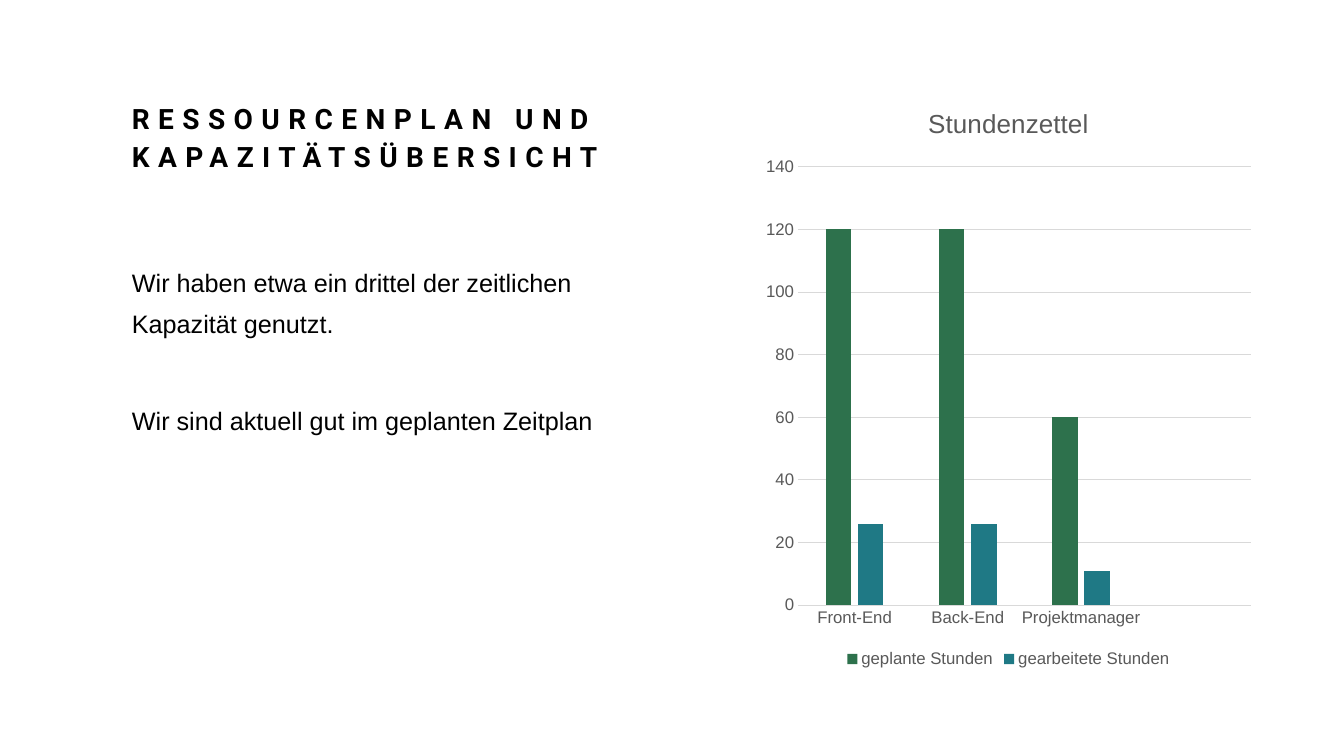
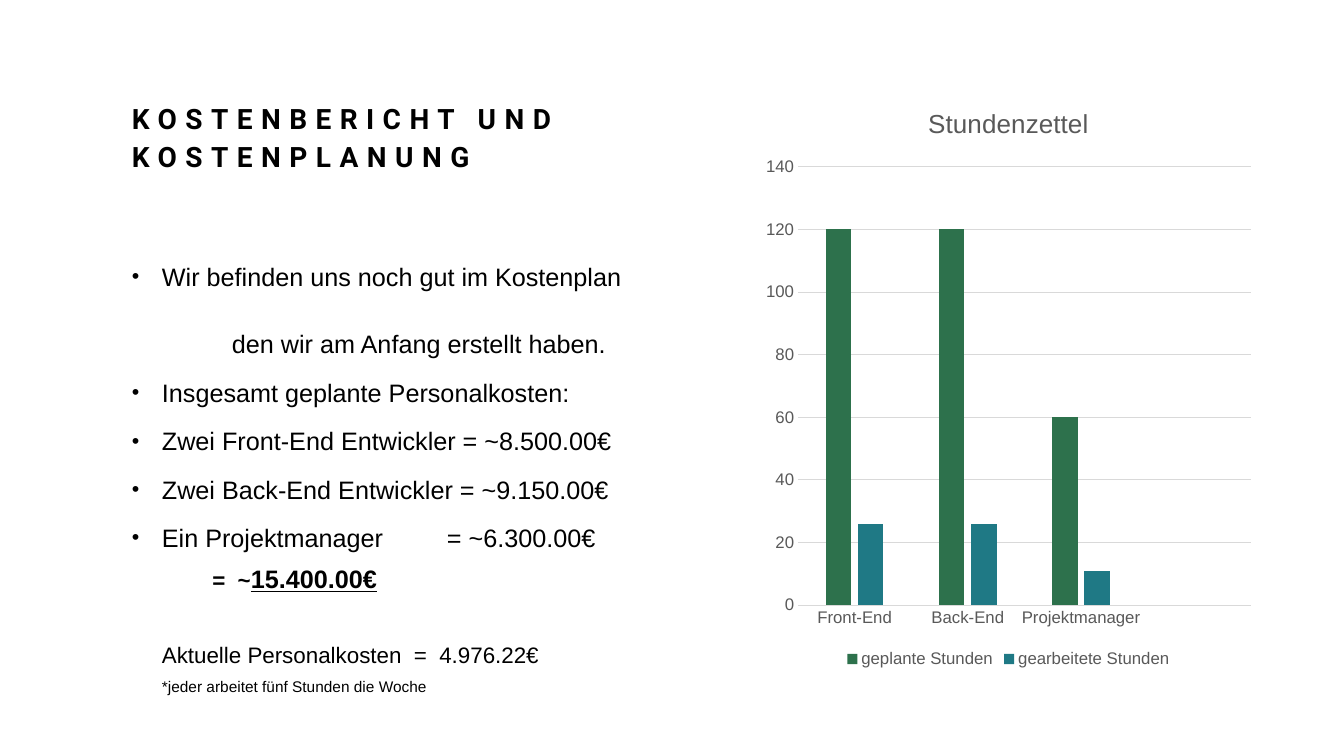
from dataclasses import dataclass

from lxml import etree
from pptx import Presentation
from pptx.chart.data import CategoryChartData
from pptx.dml.color import RGBColor
from pptx.enum.chart import XL_CHART_TYPE, XL_LEGEND_POSITION, XL_TICK_MARK
from pptx.enum.text import MSO_ANCHOR
from pptx.oxml.ns import qn
from pptx.util import Emu, Pt

COLUMNS = XL_CHART_TYPE.COLUMN_CLUSTERED
LEGEND_BOTTOM = XL_LEGEND_POSITION.BOTTOM
NO_TICK = XL_TICK_MARK.NONE
ANCHOR_TOP, ANCHOR_BOTTOM = MSO_ANCHOR.TOP, MSO_ANCHOR.BOTTOM

# Shared look
EMU_PER_PX = 914400 / 100.8
BLACK, GREY, GRID = "000000", "595959", "D9D9D9"
GREEN, TEAL = "2D714C", "1F7985"
TITLE_FONT, BODY_FONT = "Roboto", "Arial"
BULLET_INDENT = 30
AMOUNT_TAB = 315


@dataclass(frozen=True)
class Box:
    left: int
    top: int
    width: int
    height: int


@dataclass(frozen=True)
class Span:
    text: str
    size: float = 18
    bold: bool = False
    underline: bool = False
    font: str = BODY_FONT
    tracking: int = 0


@dataclass(frozen=True)
class Line:
    spans: tuple[Span, ...]
    spacing: float
    before: float = 0
    left: int = 0
    bullet: bool = False


@dataclass(frozen=True)
class HoursSeries:
    name: str
    hours: tuple[int | None, ...]
    color: str


@dataclass(frozen=True)
class ReportPage:
    title: str
    lines: tuple[Line, ...]


TITLE_BOX = Box(122, 84, 550, 126)
BODY_BOX = Box(122, 252, 550, 420)
CHART_BOX = Box(756, 84, 505, 588)


def px(length: float) -> Emu:
    return Emu(round(length * EMU_PER_PX))


def rgb(color: str) -> RGBColor:
    return RGBColor.from_string(color)


def place(box: Box) -> tuple[Emu, Emu, Emu, Emu]:
    return px(box.left), px(box.top), px(box.width), px(box.height)


def style_font(font, size: float, color: str, name: str = BODY_FONT) -> None:
    font.size, font.name = Pt(size), name
    font.color.rgb = rgb(color)


# Text
def indent_paragraph(paragraph, line: Line) -> None:
    properties = paragraph._p.get_or_add_pPr()
    properties.set("marL", str(px(line.left)))
    properties.set("indent", str(px(-line.left if line.bullet else 0)))
    if line.bullet:
        etree.SubElement(properties, qn("a:buSzPct")).set("val", "85000")
        etree.SubElement(properties, qn("a:buFont")).set("typeface", BODY_FONT)
        etree.SubElement(properties, qn("a:buChar")).set("char", "•")
    if any("\t" in span.text for span in line.spans):
        tabs = etree.SubElement(properties, qn("a:tabLst"))
        stop = etree.SubElement(tabs, qn("a:tab"))
        stop.set("pos", str(px(AMOUNT_TAB)))
        stop.set("algn", "l")


def fill_paragraph(paragraph, line: Line) -> None:
    paragraph.text = line.spans[0].text
    for span in line.spans[1:]:
        paragraph.add_run().text = span.text
    paragraph.line_spacing = line.spacing
    paragraph.space_before = Pt(line.before)
    paragraph.space_after = Pt(0)
    indent_paragraph(paragraph, line)
    for run, span in zip(paragraph.runs, line.spans):
        style_font(run.font, span.size, BLACK, span.font)
        run.font.bold, run.font.underline = span.bold, span.underline
        if span.tracking:
            run._r.get_or_add_rPr().set("spc", str(span.tracking * 100))


def add_text(slide, box: Box, lines: tuple[Line, ...], anchor=ANCHOR_TOP,
             bottom_inset: int = 5) -> None:
    frame = slide.shapes.add_textbox(*place(box)).text_frame
    frame.word_wrap = True
    frame.vertical_anchor = anchor
    frame.margin_bottom = px(bottom_inset)
    for index, line in enumerate(lines):
        paragraph = frame.add_paragraph() if index else frame.paragraphs[0]
        fill_paragraph(paragraph, line)


def add_title(slide, title: str) -> None:
    heading = Span(title, size=20, bold=True, font=TITLE_FONT, tracking=6)
    add_text(slide, TITLE_BOX, (Line((heading,), 1.12),), ANCHOR_BOTTOM, 37)


# Timesheet chart
ROLES = ("Front-End", "Back-End", "Projektmanager", "")
TIMESHEET = (
    HoursSeries("geplante Stunden", (120, 120, 60, None), GREEN),
    HoursSeries("gearbeitete Stunden", (26, 26, 11, None), TEAL),
)


def style_axis(axis) -> None:
    axis.major_tick_mark = axis.minor_tick_mark = NO_TICK
    style_font(axis.tick_labels.font, 12, GREY)


def style_line(line) -> None:
    line.color.rgb = rgb(GRID)
    line.width = Pt(0.75)


def add_timesheet(slide) -> None:
    data = CategoryChartData()
    data.categories = ROLES
    for series in TIMESHEET:
        data.add_series(series.name, series.hours)
    chart = slide.shapes.add_chart(COLUMNS, *place(CHART_BOX), data).chart
    style_font(chart.font, 10, BLACK)

    chart.has_title = True
    heading = chart.chart_title.text_frame
    heading.text = "Stundenzettel"
    heading_font = heading.paragraphs[0].runs[0].font
    style_font(heading_font, 18.6, GREY)
    heading_font.bold = False
    chart.chart_title.include_in_layout = False

    chart.has_legend = True
    chart.legend.position = LEGEND_BOTTOM
    chart.legend.include_in_layout = False
    style_font(chart.legend.font, 12, GREY)

    roles, hours = chart.category_axis, chart.value_axis
    style_axis(roles)
    style_axis(hours)
    style_line(roles.format.line)
    hours.format.line.fill.background()
    hours.has_major_gridlines = True
    style_line(hours.major_gridlines.format.line)
    hours.minimum_scale, hours.maximum_scale, hours.major_unit = 0, 140, 20

    plot = chart.plots[0]
    plot.gap_width, plot.overlap, plot.vary_by_categories = 219, -27, False
    for bars, series in zip(plot.series, TIMESHEET):
        bars.format.fill.solid()
        bars.format.fill.fore_color.rgb = rgb(series.color)
        bars.invert_if_negative = False


# Content
def statement(text: str, before: float = 0) -> Line:
    return Line((Span(text),), 1.35, before)


def cost_item(text: str) -> Line:
    return Line((Span(text),), 1.14, 10, BULLET_INDENT, True)


def cost_note(*spans: Span, before: float = 5, left: int = BULLET_INDENT) -> Line:
    return Line(spans, 1.14, before, left)


PAGES = (
    ReportPage("RESSOURCENPLAN UND KAPAZITÄTSÜBERSICHT", (
        statement("Wir haben etwa ein drittel der zeitlichen Kapazität genutzt."),
        statement("Wir sind aktuell gut im geplanten Zeitplan", before=40),
    )),
    ReportPage("KOSTENBERICHT UND KOSTENPLANUNG", (
        cost_item("Wir befinden uns noch gut im Kostenplan"),
        cost_note(Span("den wir am Anfang erstellt haben."), before=23.5, left=100),
        cost_item("Insgesamt geplante Personalkosten:"),
        cost_item("Zwei Front-End Entwickler = ~8.500.00€"),
        cost_item("Zwei Back-End Entwickler = ~9.150.00€"),
        cost_item("Ein Projektmanager\t= ~6.300.00€"),
        cost_note(Span("\t=  ~", 16, bold=True),
                  Span("15.400.00€", bold=True, underline=True)),
        cost_note(Span("Aktuelle Personalkosten\t=  4.976.22€", 16), before=31),
        cost_note(Span("*jeder arbeitet fünf Stunden die Woche", 11)),
    )),
)


def build() -> None:
    deck = Presentation()
    deck.slide_width, deck.slide_height = px(1344), px(756)
    blank = deck.slide_layouts[6]
    for page in PAGES:
        slide = deck.slides.add_slide(blank)
        add_title(slide, page.title)
        add_text(slide, BODY_BOX, page.lines)
        add_timesheet(slide)
    deck.save("out.pptx")


build()
